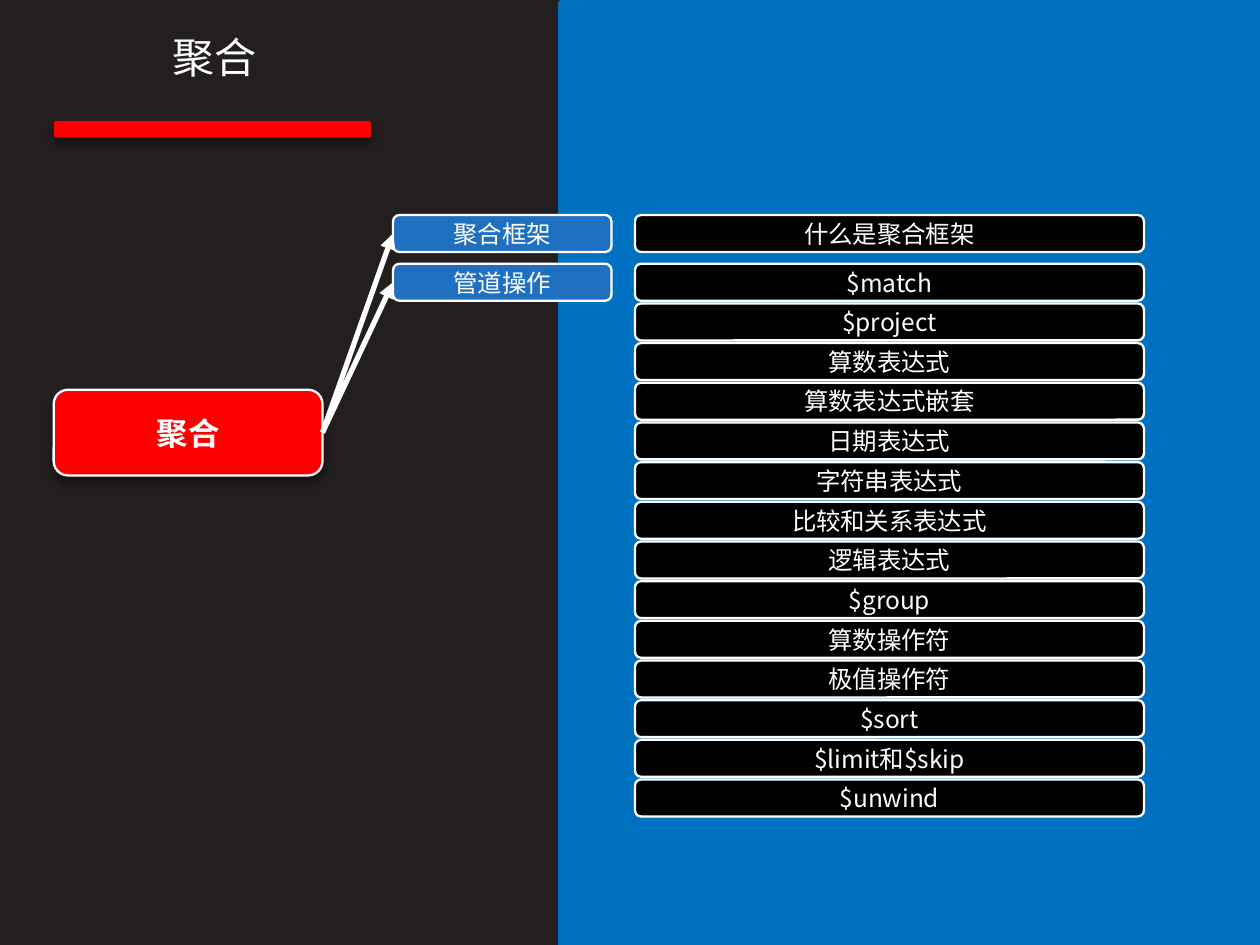
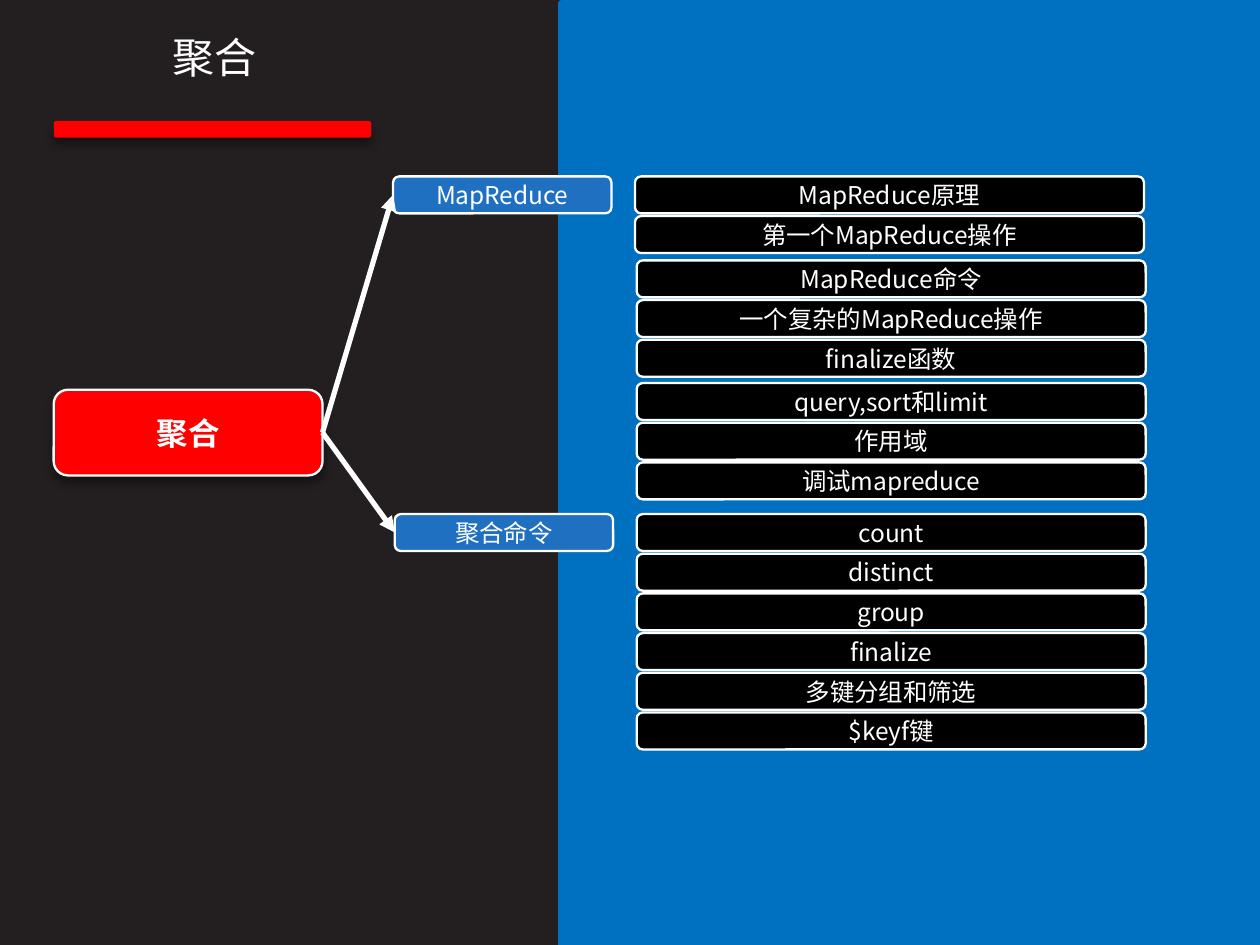
"""Build two mind-map slides about aggregation."""
from dataclasses import dataclass

from lxml import etree
from pptx import Presentation
from pptx.dml.color import RGBColor
from pptx.enum.shapes import MSO_CONNECTOR, MSO_SHAPE
from pptx.enum.text import MSO_ANCHOR, PP_ALIGN
from pptx.oxml import parse_xml
from pptx.oxml.ns import nsdecls, qn
from pptx.util import Inches, Pt

ROUNDED = MSO_SHAPE.ROUNDED_RECTANGLE
RECTANGLE = MSO_SHAPE.RECTANGLE
STRAIGHT = MSO_CONNECTOR.STRAIGHT
CENTER = PP_ALIGN.CENTER
MIDDLE = MSO_ANCHOR.MIDDLE
TOP = MSO_ANCHOR.TOP
LEFT_SIDE, RIGHT_SIDE = 1, 3

CHARCOAL = RGBColor(0x23, 0x1F, 0x20)
RED = RGBColor(0xFF, 0x00, 0x00)
PANEL_BLUE = RGBColor(0x00, 0x70, 0xC0)
BRANCH_BLUE = RGBColor(0x20, 0x70, 0xC1)
BLACK = RGBColor(0x00, 0x00, 0x00)
WHITE = RGBColor(0xFF, 0xFF, 0xFF)

MAIN_FONT = "Noto Sans CJK SC"
SUFFIX_FONT = "Calibri"
TITLE = "聚合"
TITLE_FORMAT = {"size": Pt(18), "bold": False}
ROOT_FORMAT = {"size": Pt(13.5), "bold": True}
NODE_FORMAT = {"size": Pt(10.5), "bold": False}

SLIDE_WIDTH = Inches(7.5)
SLIDE_HEIGHT = SLIDE_WIDTH * 3 // 4
NODE_HEIGHT = Inches(0.22)
BRANCH_WIDTH = Inches(1.3)
TOPIC_WIDTH = Inches(3.03)
ROW_PITCH = Inches(3.07) // 13

SHADOW = (
    f'<a:effectLst {nsdecls("a")}><a:outerShdw blurRad="50800" dist="38100" '
    'dir="5400000" algn="t" rotWithShape="0"><a:srgbClr val="000000">'
    '<a:alpha val="40000"/></a:srgbClr></a:outerShdw></a:effectLst>'
)


@dataclass(frozen=True)
class Label:
    """A node's wording, with an optional suffix in the second font."""
    text: str
    suffix: str = ""


@dataclass(frozen=True)
class Branch:
    """A second-level node."""
    label: Label
    left: float
    top: float


@dataclass(frozen=True)
class TopicStack:
    """A column of evenly spaced topics."""
    left: float
    top: float
    labels: tuple[Label, ...]


@dataclass(frozen=True)
class MindMap:
    """The content of one slide."""
    branches: tuple[Branch, ...]
    stacks: tuple[TopicStack, ...]


def plain(*texts: str) -> tuple[Label, ...]:
    """Turn texts into labels without a suffix."""
    return tuple(Label(text) for text in texts)


MIND_MAPS = (
    MindMap(
        (Branch(Label("聚合框架"), 2.34, 1.28), Branch(Label("管道操作"), 2.34, 1.57)),
        (
            TopicStack(3.78, 1.28, plain("什么是聚合框架")),
            TopicStack(3.78, 1.57, plain(
                "$match", "$project", "算数表达式", "算数表达式嵌套", "日期表达式",
                "字符串表达式", "比较和关系表达式", "逻辑表达式", "$group",
                "算数操作符", "极值操作符", "$sort", "$limit和$skip", "$unwind",
            )),
        ),
    ),
    MindMap(
        (Branch(Label("MapReduce"), 2.34, 1.05), Branch(Label("聚合命令"), 2.35, 3.06)),
        (
            TopicStack(3.78, 1.05, plain("MapReduce原理", "第一个MapReduce操作")),
            TopicStack(3.79, 1.55, plain(
                "MapReduce命令", "一个复杂的MapReduce操作", "finalize函数",
            )),
            TopicStack(3.79, 2.28, plain("query,sort和limit", "作用域", "调试mapreduce")),
            TopicStack(3.79, 3.06, (
                *plain("count", "distinct", "group", "finalize", "多键分组和筛选"),
                Label("$keyf", "键"),
            )),
        ),
    ),
)


def write_text(box, label: Label, formats: dict, anchor=MIDDLE, margin_top: int = 0) -> None:
    """Write one centred white line into a shape."""
    frame = box.text_frame
    settings = {"word_wrap": True, "vertical_anchor": anchor, "margin_left": 0,
                "margin_right": 0, "margin_top": margin_top, "margin_bottom": 0}
    for name, value in settings.items():
        setattr(frame, name, value)
    para = frame.paragraphs[0]
    para.alignment = CENTER
    for text, font_name in ((label.text, MAIN_FONT), (label.suffix, SUFFIX_FONT)):
        if not text:
            continue
        span = para.add_run()
        span.text = text
        for name, value in {"name": font_name, **formats}.items():
            setattr(span.font, name, value)
        span.font.color.rgb = WHITE
    for properties in box.element.iter(qn("a:rPr")):
        etree.SubElement(properties, qn("a:ea"), typeface=MAIN_FONT)


def add_box(page, kind, bounds: tuple, fill: RGBColor, line: RGBColor | None = WHITE,
            weight: float = 1, shaded: bool = False):
    """Add a filled shape with an optional outline and shadow."""
    box = page.shapes.add_shape(kind, *bounds)
    box.fill.solid()
    box.fill.fore_color.rgb = fill
    if line is None:
        box.line.fill.background()
    else:
        box.line.color.rgb = line
        box.line.width = Pt(weight)
    if shaded:
        box.element.spPr.append(parse_xml(SHADOW))
    else:
        box.shadow.inherit = False
    return box


def add_node(page, label: Label, left: int, top: int, width: int, fill: RGBColor):
    """Add a labelled branch or topic."""
    node = add_box(page, ROUNDED, (left, top, width, NODE_HEIGHT), fill)
    write_text(node, label, NODE_FORMAT)
    return node


def add_arrow(page, root, node) -> None:
    """Join the root to a branch with an arrow."""
    arrow = page.shapes.add_connector(STRAIGHT, 0, 0, 0, 0)
    arrow.begin_connect(root, RIGHT_SIDE)
    arrow.end_connect(node, LEFT_SIDE)
    arrow.line.color.rgb = WHITE
    arrow.line.width = Pt(2.25)
    properties = arrow.element.spPr
    etree.SubElement(properties.find(qn("a:ln")), qn("a:tailEnd"), type="triangle")
    etree.SubElement(properties, qn("a:effectLst"))


def style_layout(layout, page) -> None:
    """Give the layout its background, title bar and side panel."""
    layout.background.fill.solid()
    layout.background.fill.fore_color.rgb = CHARCOAL
    for placeholder in list(layout.placeholders):
        layout.shapes.element.remove(placeholder.element)
    bar_bounds = (Inches(0.32), Inches(0.72), Inches(1.89), Inches(0.1))
    panel_bounds = (Inches(3.34), Inches(0.02), Inches(4.16), Inches(5.61))
    bar = add_box(page, ROUNDED, bar_bounds, RED, None, shaded=True)
    panel = add_box(page, RECTANGLE, panel_bounds, PANEL_BLUE, PANEL_BLUE, 3)
    for part in (bar, panel):
        layout.shapes.element.append(part.element)


def draw_map(page, mind_map: MindMap) -> None:
    """Draw the title, root, branches and topics."""
    title = page.shapes.add_textbox(Inches(0.27), Inches(0.14), Inches(2.01), Inches(0.55))
    write_text(title, Label(TITLE), TITLE_FORMAT, TOP, Inches(0.05))
    root_bounds = (Inches(0.32), Inches(2.32), Inches(1.6), Inches(0.51))
    root = add_box(page, ROUNDED, root_bounds, RED, shaded=True)
    write_text(root, Label(TITLE), ROOT_FORMAT)
    for branch in mind_map.branches:
        node = add_node(page, branch.label, Inches(branch.left), Inches(branch.top),
                        BRANCH_WIDTH, BRANCH_BLUE)
        add_arrow(page, root, node)
    for stack in mind_map.stacks:
        for row, label in enumerate(stack.labels):
            add_node(page, label, Inches(stack.left), Inches(stack.top) + row * ROW_PITCH,
                     TOPIC_WIDTH, BLACK)


def main() -> None:
    """Build and save the deck."""
    deck = Presentation()
    deck.slide_width, deck.slide_height = SLIDE_WIDTH, SLIDE_HEIGHT
    layout = deck.slide_layouts[6]
    pages = [deck.slides.add_slide(layout) for _ in MIND_MAPS]
    style_layout(layout, pages[0])
    for page, mind_map in zip(pages, MIND_MAPS):
        draw_map(page, mind_map)
    deck.save("out.pptx")


if __name__ == "__main__":
    main()
